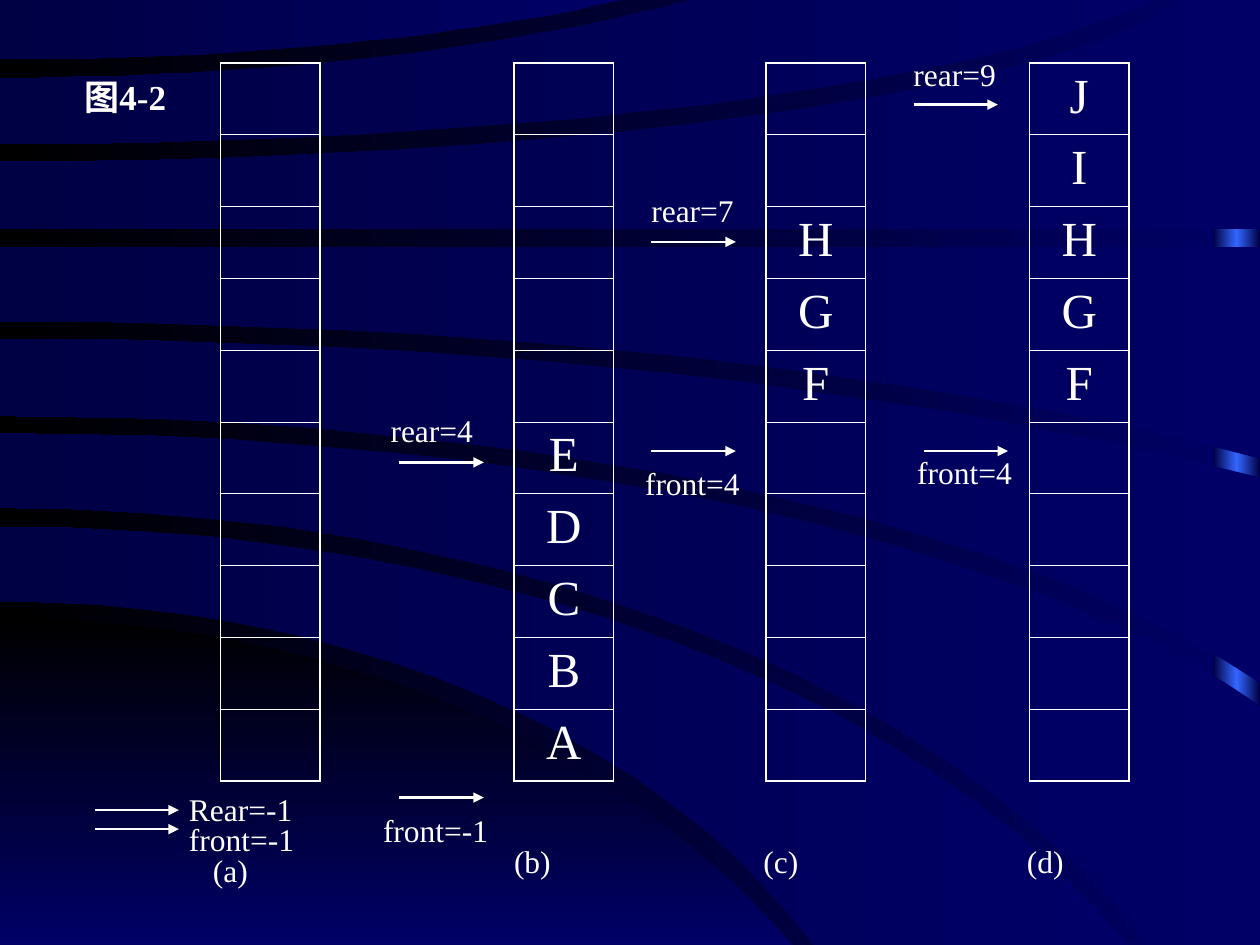
"""Build the slide of figure 4-2: four states of a sequential queue."""
from copy import deepcopy
from math import asin, cos, sin, sqrt

from lxml.etree import SubElement
from pptx import Presentation
from pptx.dml.color import RGBColor
from pptx.enum.shapes import MSO_CONNECTOR, MSO_SHAPE
from pptx.enum.text import PP_ALIGN
from pptx.oxml.ns import qn
from pptx.util import Inches, Pt

WHITE = RGBColor(0xFF, 0xFF, 0xFF)
BLACK = RGBColor(0x00, 0x00, 0x00)
NAVY = RGBColor(0x00, 0x00, 0x66)
DARK_NAVY = RGBColor(0x00, 0x00, 0x44)
BRIGHT_BLUE = RGBColor(0x33, 0x66, 0xFF)
FONT = "Times New Roman"

WIDTH, HEIGHT = 10, 7.5
UNIT = 0.01
STEPS = 20
TABLE_TOP, CELL_WIDTH, CELL_HEIGHT, ROWS = 0.5, 0.79, 0.57, 10
ARROW_LENGTH = 0.67

# Each edge is an ellipse arc: start height, horizontal radius, vertical radius.
CORNER = ((4.91, 7.4, 5.48), (7.5, 7.4, 1))
BANDS = [
    ((4.18, 9.9, 5.79), (4.77, 7.2, 4.9)),
    ((3.44, 11.2, 3.93), (4.03, 10, 5.9)),
    ((2.69, 14.9, 4.25), (3.3, 11.3, 3.96)),
    ((1.96, 10, 0), (2.55, 13.7, 3.45)),
    ((1.28, 9.68, -1.68), (1.82, 10, 0)),
    ((0.62, 7.86, -2.19), (1.14, 9.7, -1.71)),
    ((0, 7.1, -1), (0.47, 7.1, -1.67)),
]

QUEUES = [(1.75, 0, ""), (4.08, 5, "EDCBA"), (6.08, 2, "HGF"), (8.17, 0, "JIHGF")]
ARROWS = [(0.75, 6.43), (0.75, 6.58), (3.17, 6.33), (3.17, 3.67),
          (5.17, 3.58), (5.17, 1.92), (7.33, 3.58), (7.25, 0.83)]
LABELS = [
    (3.1, 3.25, "rear=4"), (5.17, 1.5, "rear=7"), (7.25, 0.42, "rear=9"),
    (3.04, 6.42, "front=-1"), (5.12, 3.67, "front=4"), (7.28, 3.58, "front=4"),
    (4.08, 6.67, "(b)"), (6.06, 6.67, "(c)"), (8.15, 6.67, "(d)"),
]
START_LABELS = [("Rear=-1", 0), ("front=-1", 0), ("(a)", 0.19)]


def set_gradient(fill, colors, angle):
    fill.gradient_angle = angle
    for stop, color in zip(fill.gradient_stops, colors):
        stop.color.rgb = color


def style_shape(shape, colors, angle):
    shape.shadow.inherit = False
    shape.line.fill.background()
    shape.fill.gradient()
    if len(colors) == 3:
        stops = shape._element.spPr.find(".//" + qn("a:gsLst"))
        stops.insert(1, deepcopy(stops[0]))
        shape.fill.gradient_stops[1].position = 0.5
    set_gradient(shape.fill, colors, angle)


def trace_edge(start, across, down):
    reach = WIDTH
    if down:
        limit = HEIGHT if down > 0 else 0
        share = min((limit - start) / down, 1)
        reach = min(WIDTH, across * sqrt(1 - (1 - share) ** 2))
    angles = [asin(reach / across) * step / STEPS for step in range(STEPS + 1)]
    return [(across * sin(angle), start + down * (1 - cos(angle))) for angle in angles]


def add_region(page, edges, colors, angle):
    upper, lower = (trace_edge(*edge) for edge in edges)
    near, far = sorted((upper[-1], lower[-1]))
    joint = [(WIDTH, near[1])] if near[0] < WIDTH - UNIT < far[0] else []
    outline = [(x / UNIT, y / UNIT) for x, y in upper + joint + lower[::-1]]
    builder = page.shapes.build_freeform(*outline[0], scale=Inches(UNIT))
    builder.add_line_segments(outline[1:], close=True)
    style_shape(builder.convert_to_shape(), colors, angle)


def add_span(para, text, size, bold=False):
    span = para.add_run()
    span.text = text
    span.font.name = FONT
    span.font.size = Pt(size)
    span.font.bold = bold
    span.font.color.rgb = WHITE


def add_box(page, left, top, width, height):
    box = page.shapes.add_textbox(Inches(left), Inches(top), Inches(width), Inches(height))
    frame = box.text_frame
    frame.word_wrap = True
    frame.margin_left = frame.margin_right = frame.margin_top = frame.margin_bottom = 0
    return frame


def add_label(page, left, top, text, size=18, bold=False):
    para = add_box(page, left, top, 1, 0.32).paragraphs[0]
    para.line_spacing = 1.05
    add_span(para, text, size, bold)


def set_borders(cell, row):
    properties = cell._tc.get_or_add_tcPr()
    weights = {"lnL": 1.08, "lnR": 1.08, "lnT": 1.08 if row == 0 else 0.45,
               "lnB": 1.08 if row == ROWS - 1 else 0.45}
    for side, weight in weights.items():
        line = SubElement(properties, qn("a:" + side), w=str(Pt(weight)))
        SubElement(SubElement(line, qn("a:solidFill")), qn("a:srgbClr"), val=str(WHITE))


def add_queue(page, left, first, letters):
    table = page.shapes.add_table(ROWS, 1, Inches(left), Inches(TABLE_TOP),
                                  Inches(CELL_WIDTH), Inches(CELL_HEIGHT * ROWS)).table
    table.first_row = table.horz_banding = False
    for row in range(ROWS):
        cell = table.cell(row, 0)
        set_borders(cell, row)
        cell.fill.background()
    for row, letter in enumerate(letters, first):
        para = table.cell(row, 0).text_frame.paragraphs[0]
        para.alignment = PP_ALIGN.CENTER
        para.space_before = Pt(7)
        add_span(para, letter, 28)


def add_arrow(page, left, top):
    arrow = page.shapes.add_connector(MSO_CONNECTOR.STRAIGHT, Inches(left), Inches(top),
                                      Inches(left + ARROW_LENGTH), Inches(top))
    arrow.line.color.rgb = WHITE
    arrow.line.width = Pt(1.5)
    SubElement(arrow.line._get_or_add_ln(), qn("a:tailEnd"), type="triangle")
    SubElement(arrow._element.spPr, qn("a:effectLst"))


def main():
    deck = Presentation()
    deck.slide_width, deck.slide_height = Inches(WIDTH), Inches(HEIGHT)
    page = deck.slides.add_slide(deck.slide_layouts[6])
    page.background.fill.gradient()
    set_gradient(page.background.fill, (NAVY, BLACK), 180)

    strip = page.shapes.add_shape(MSO_SHAPE.RECTANGLE, Inches(9.63), 0,
                                  Inches(0.37), Inches(HEIGHT))
    style_shape(strip, (DARK_NAVY, BRIGHT_BLUE, DARK_NAVY), 180)
    add_region(page, CORNER, (BLACK, NAVY), 270)
    for edges in BANDS:
        add_region(page, edges, (NAVY, DARK_NAVY), 180)

    for left, first, letters in QUEUES:
        add_queue(page, left, first, letters)
    for left, top in ARROWS:
        add_arrow(page, left, top)
    for left, top, text in LABELS:
        add_label(page, left, top, text)
    add_label(page, 0.67, 0.58, "图4-2", 20, True)

    frame = add_box(page, 1.5, 6.33, 1.33, 0.72)
    for index, (text, indent) in enumerate(START_LABELS):
        para = frame.add_paragraph() if index else frame.paragraphs[0]
        para.line_spacing = 0.8
        para._p.get_or_add_pPr().set("marL", str(Inches(indent)))
        add_span(para, text, 18)

    deck.save("out.pptx")


if __name__ == "__main__":
    main()
